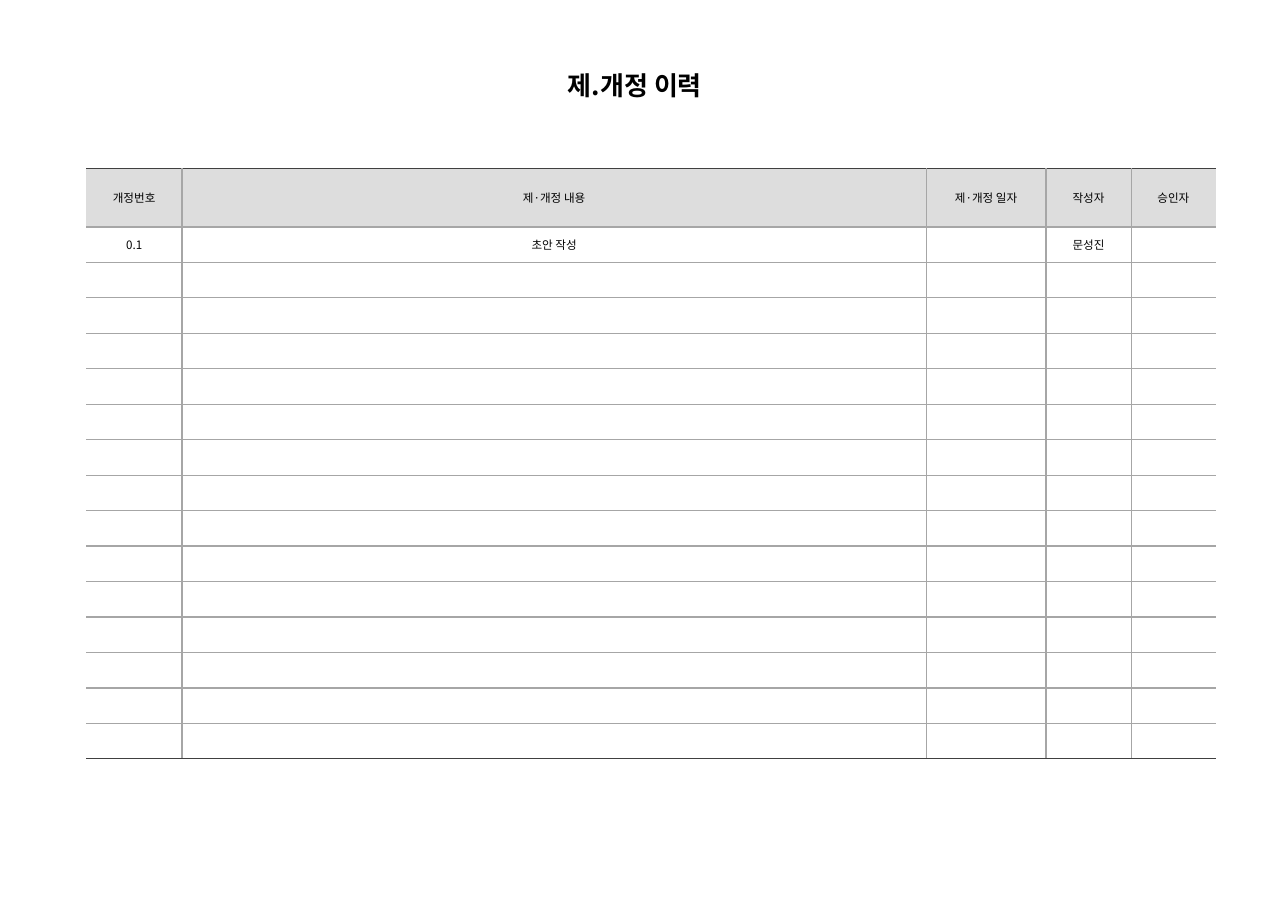
from lxml.etree import SubElement
from pptx import Presentation
from pptx.dml.color import RGBColor
from pptx.enum.text import MSO_ANCHOR, MSO_AUTO_SIZE, PP_ALIGN
from pptx.oxml.ns import qn
from pptx.util import Inches, Pt

BLACK = RGBColor(0x00, 0x00, 0x00)
HEADER_GRAY = RGBColor(0xDD, 0xDD, 0xDD)
RULE_GRAY = RGBColor(0xA6, 0xA6, 0xA6)
EDGE_GRAY = RGBColor(0x40, 0x40, 0x40)
FONT = "Noto Sans CJK KR"

HEADINGS = ["개정번호", "제·개정 내용", "제·개정 일자", "작성자", "승인자"]
FIRST_REVISION = ["0.1", "초안 작성", "", "문성진", ""]
COLUMN_WIDTHS = [0.92, 7.15, 1.15, 0.82, 0.81]
REVISION_COUNT = 15
HISTORY_HEIGHT, HEADER_HEIGHT = 5.67, 0.56
REVISION_HEIGHT = (HISTORY_HEIGHT - HEADER_HEIGHT) / REVISION_COUNT
LAST_ROW, LAST_COLUMN = REVISION_COUNT, len(HEADINGS) - 1


def style_run(run, size, bold=False):
    run.font.size = Pt(size)
    run.font.bold = bold
    run.font.name = FONT
    run.font.color.rgb = BLACK
    SubElement(run._r.get_or_add_rPr(), qn("a:ea"), typeface=FONT)


def add_border(cell, side, color):
    """Sides must be added in the order L, R, T, B, before the fill."""
    line = SubElement(cell._tc.get_or_add_tcPr(), qn(f"a:ln{side}"), w=str(Pt(1)))
    if color is None:
        SubElement(line, qn("a:noFill"))
    else:
        fill = SubElement(line, qn("a:solidFill"))
        SubElement(fill, qn("a:srgbClr"), val=str(color))


# Page in A4 landscape proportions
presentation = Presentation()
presentation.slide_width = Pt(891)
presentation.slide_height = Pt(630)
slide = presentation.slides.add_slide(presentation.slide_layouts[5])

# Title
title = slide.shapes.title
title.left, title.top = Inches(5.32), Inches(0.61)
title.width, title.height = Inches(1.56), Inches(0.42)
heading = title.text_frame
heading.text = "제.개정 이력"
heading.word_wrap = True
heading.auto_size = MSO_AUTO_SIZE.SHAPE_TO_FIT_TEXT
heading.vertical_anchor = MSO_ANCHOR.TOP
heading.margin_left = heading.margin_right = Inches(0.12)
heading.margin_top = heading.margin_bottom = Inches(0.06)
heading.paragraphs[0].alignment = PP_ALIGN.CENTER
style_run(heading.paragraphs[0].runs[0], 18, bold=True)

# Revision history grid
history = slide.shapes.add_table(
    REVISION_COUNT + 1, len(HEADINGS), Inches(0.83), Inches(1.62),
    Inches(sum(COLUMN_WIDTHS)), Inches(HISTORY_HEIGHT)).table
history.first_row = history.horz_banding = False
for column, width in zip(history.columns, COLUMN_WIDTHS):
    column.width = Inches(width)
for number, row in enumerate(history.rows):
    row.height = Inches(REVISION_HEIGHT if number else HEADER_HEIGHT)

# Cell texts, rules and fills
blank_rows = [[""] * len(HEADINGS)] * (REVISION_COUNT - 1)
for r, texts in enumerate([HEADINGS, FIRST_REVISION] + blank_rows):
    for c, text in enumerate(texts):
        cell = history.cell(r, c)
        cell.text = text
        cell.vertical_anchor = MSO_ANCHOR.MIDDLE
        cell.margin_left = cell.margin_right = Inches(0.12)
        cell.margin_top = cell.margin_bottom = Inches(0.06)
        paragraph = cell.text_frame.paragraphs[0]
        paragraph.alignment = PP_ALIGN.CENTER
        paragraph.space_before = Pt(1.6)
        for run in paragraph.runs:
            style_run(run, 8)
        if not text:
            SubElement(paragraph._p, qn("a:endParaRPr"), sz="800")

        add_border(cell, "L", RULE_GRAY if c > 0 else None)
        add_border(cell, "R", RULE_GRAY if c < LAST_COLUMN else None)
        add_border(cell, "T", RULE_GRAY if r > 0 else EDGE_GRAY)
        add_border(cell, "B", RULE_GRAY if r < LAST_ROW else EDGE_GRAY)
        if r == 0:
            cell.fill.solid()
            cell.fill.fore_color.rgb = HEADER_GRAY
        else:
            cell.fill.background()

presentation.save("out.pptx")
